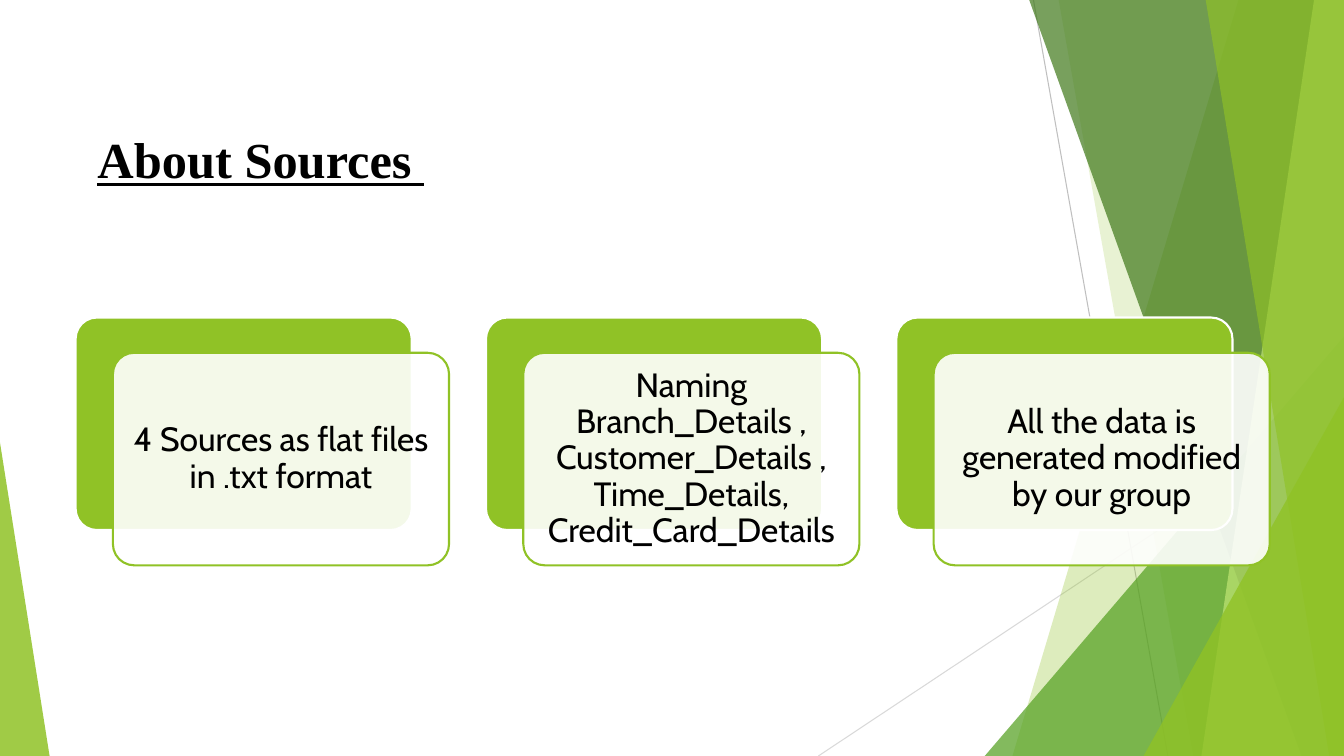
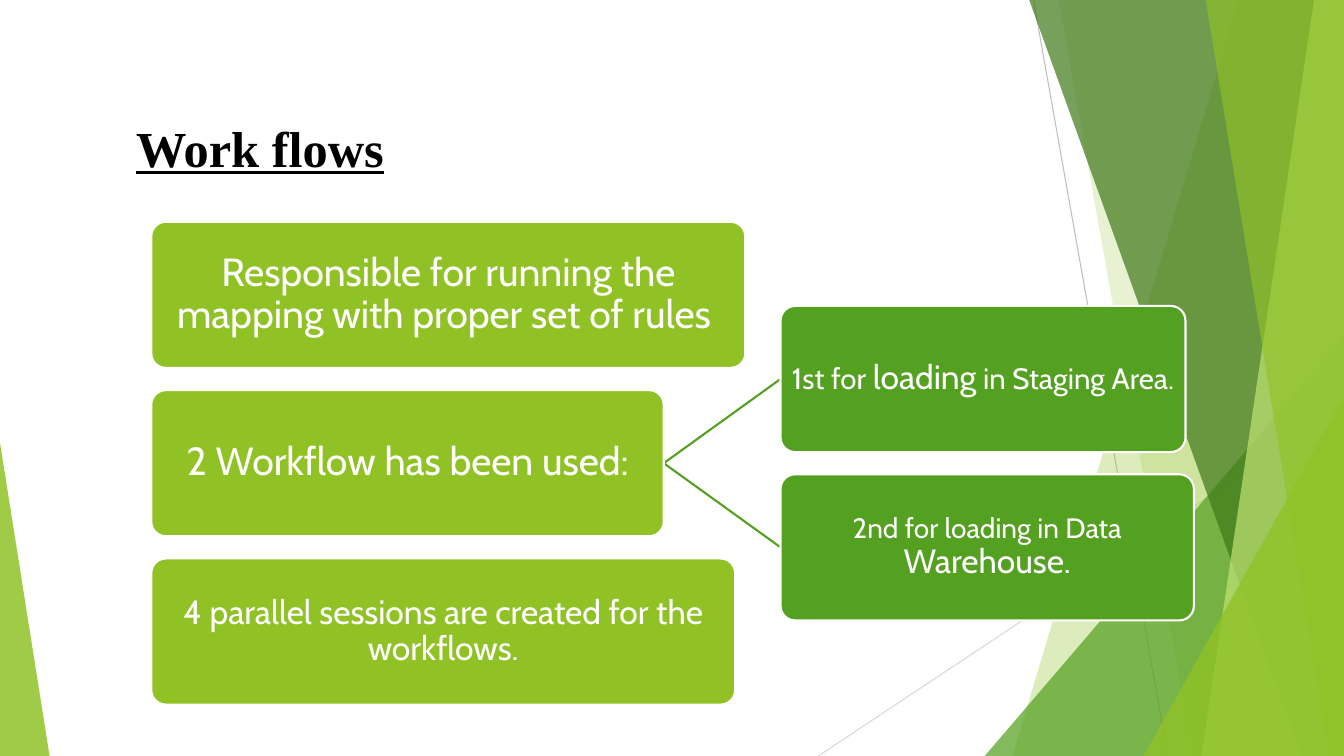
import pptx
import pptx.util
import pptx.dml.color
import pptx.enum.shapes
import pptx.enum.text
import pptx.oxml
import pptx.oxml.ns
import lxml.etree


class Theme:
    lime = "90C226"
    leaf = "54A021"
    moss = "3F7819"
    pale = "C0E474"
    white = "FFFFFF"
    black = "000000"
    gray = "BFBFBF"
    mist = "D9D9D9"
    head = "Times New Roman"
    body = "Cabin"
    title = 36
    big = 28
    mid = 24
    low = 21
    least = 20
    thin = 0.75
    rim = 1.5


qn = pptx.oxml.ns.qn
Pt = pptx.util.Pt
rgb = pptx.dml.color.RGBColor.from_string
kinds = pptx.enum.shapes.MSO_SHAPE

deck = pptx.Presentation()
deck.slide_width = pptx.util.Inches(13.33)
deck.slide_height = pptx.util.Inches(7.5)
cols, rows = 160, 90
unit = deck.slide_height / rows


def paint(shape, fill, edge=None, alpha=100):
    shape.shadow.inherit = False
    shape.fill.solid()
    shape.fill.fore_color.rgb = rgb(fill)
    if alpha < 100:
        tint = shape.element.find(".//" + qn("a:srgbClr"))
        lxml.etree.SubElement(tint, qn("a:alpha"), val=str(alpha * 1000))
    if edge:
        shape.line.color.rgb = rgb(edge)
        shape.line.width = Pt(Theme.rim)
    else:
        shape.line.fill.background()


def link(shapes, ends, tint, width):
    line = shapes.add_connector(
        pptx.enum.shapes.MSO_CONNECTOR.STRAIGHT, *[int(n * unit) for n in ends]
    )
    line.line.color.rgb = rgb(tint)
    line.line.width = Pt(width)
    lxml.etree.SubElement(line.element.find(qn("p:spPr")), qn("a:effectLst"))


plan = deck.slide_layouts[5]
first = deck.slides.add_slide(plan)
second = deck.slides.add_slide(plan)

decor = first.shapes.add_group_shape()
link(decor.shapes, (123, 0, 139, rows), Theme.gray, Theme.thin)
link(decor.shapes, (cols, 48.4, 97.4, rows), Theme.mist, Theme.thin)

facets = [
    ("band", 147.4, 120.5, Theme.lime, 30),
    ("band", 126, 142, Theme.lime, 20),
    ("right", 117.2, 40, Theme.leaf, 72),
    ("band", 122.5, 154.9, Theme.moss, 70),
    ("band", 156.4, 143, Theme.pale, 70),
    ("band", 143.5, 158.2, Theme.lime, 65),
    ("right", 136.1, 47.2, Theme.lime, 80),
    ("left", 5.9, 52.7, Theme.lime, 85),
]
for kind, one, two, tint, alpha in facets:
    if kind == "band":
        pen = decor.shapes.build_freeform(int(one * unit), 0)
        spots = [(cols, 0), (cols, rows), (two, rows)]
        pen.add_line_segments([(int(x * unit), int(y * unit)) for x, y in spots])
        facet = pen.convert_to_shape()
    else:
        left, right = (one, cols) if kind == "right" else (0, one)
        box = (left, two, right - left, rows - two)
        facet = decor.shapes.add_shape(
            kinds.ISOSCELES_TRIANGLE, *[int(n * unit) for n in box]
        )
        facet.adjustments[0] = 1 if kind == "right" else 0
    paint(facet, tint, alpha=alpha)

for num, node in enumerate(decor.element.iter(qn("p:cNvPr")), 100):
    node.set("id", str(num))
plan.shapes.element.insert(2, decor.element)

heads = [
    (first, "About Sources ", (10.4, 14.4, 137, 9)),
    (second, "Work flows", (15, 13, 130, 9)),
]
for slide, text, box in heads:
    title = slide.shapes.title
    title.left, title.top, title.width, title.height = [int(n * unit) for n in box]
    frame = title.text_frame
    frame.auto_size = pptx.enum.text.MSO_AUTO_SIZE.NONE
    frame.vertical_anchor = pptx.enum.text.MSO_ANCHOR.MIDDLE
    para = frame.paragraphs[0]
    para.alignment = pptx.enum.text.PP_ALIGN.LEFT
    run = para.add_run()
    run.text = text
    run.font.name = Theme.head
    run.font.size = Pt(Theme.title)
    run.font.bold = run.font.underline = True
    run.font.color.rgb = rgb(Theme.black)

cards = []
facts = [
    "4 Sources as flat files in .txt format",
    "Naming Branch_Details , Customer_Details , Time_Details, Credit_Card_Details",
    "All the data is generated modified by our group",
]
for num, fact in enumerate(facts):
    left, top, wide, high = 9 + num * 48.84, 37.8, 40, 25.3
    cards += [
        (first, (left, top, wide, high), Theme.lime, Theme.white, 100,
         Theme.black, 0, []),
        (first, (left + 4.44, top + 4.2, wide, high), Theme.white, Theme.lime, 90,
         Theme.black, 0.1, [(fact, Theme.mid)]),
    ]

start, pitch, tall = 26.4, 20.04, 17.4
steps = [
    (70.7, "Responsible for running the mapping with proper set of rules ", Theme.big),
    (61, "2 Workflow has been used:", Theme.big),
    (69.5, "4 parallel sessions are created for the workflows.", Theme.mid),
]
for num, (wide, text, size) in enumerate(steps):
    cards.append((second, (18, start + num * pitch, wide, tall), Theme.lime,
                  Theme.white, 100, Theme.white, 0.02, [(text, size)]))

loads = [
    (48.2, [("1st for ", Theme.low), ("loading", Theme.mid),
            (" in Staging Area.", Theme.low)]),
    (49.2, [("2nd for loading in Data ", Theme.least), ("Warehouse.", Theme.mid)]),
]
for num, (wide, runs) in enumerate(loads):
    top = start + (num + 0.5) * pitch
    hub = start + pitch + tall / 2
    link(second.shapes, (79, hub, 92.9, top + tall / 2), Theme.leaf, Theme.rim)
    cards.append((second, (92.9, top, wide, tall), Theme.leaf,
                  Theme.white, 100, Theme.white, 0.01, runs))

for slide, box, fill, edge, alpha, ink, pad, runs in cards:
    card = slide.shapes.add_shape(
        kinds.ROUNDED_RECTANGLE, *[int(n * unit) for n in box]
    )
    card.adjustments[0] = 0.1
    paint(card, fill, edge, alpha)
    frame = card.text_frame
    frame.word_wrap = True
    frame.vertical_anchor = pptx.enum.text.MSO_ANCHOR.MIDDLE
    frame.margin_left = frame.margin_right = pptx.util.Inches(pad)
    frame.margin_top = frame.margin_bottom = pptx.util.Inches(pad)
    para = frame.paragraphs[0]
    para.alignment = pptx.enum.text.PP_ALIGN.CENTER
    para.line_spacing = 0.9
    for text, size in runs:
        run = para.add_run()
        run.text = text
        run.font.name = Theme.body
        run.font.size = Pt(size)
        run.font.color.rgb = rgb(ink)

deck.save("out.pptx")
